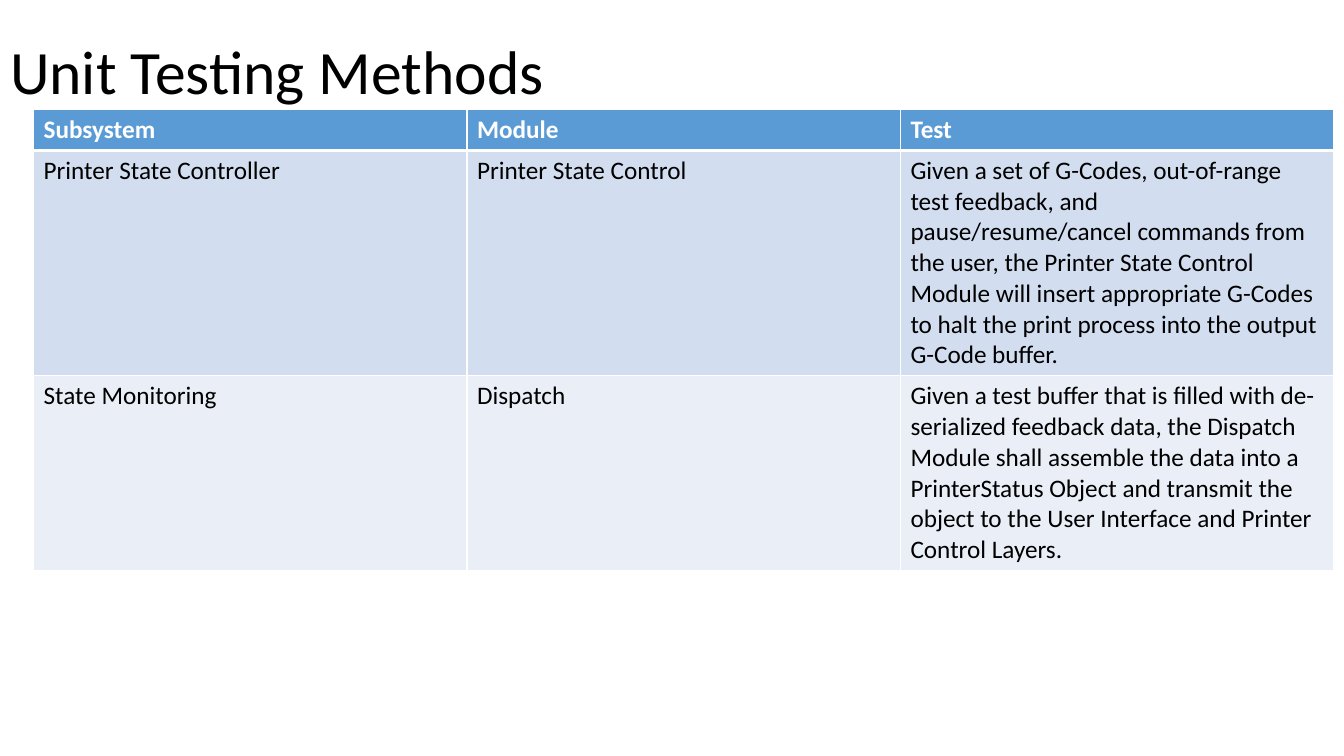
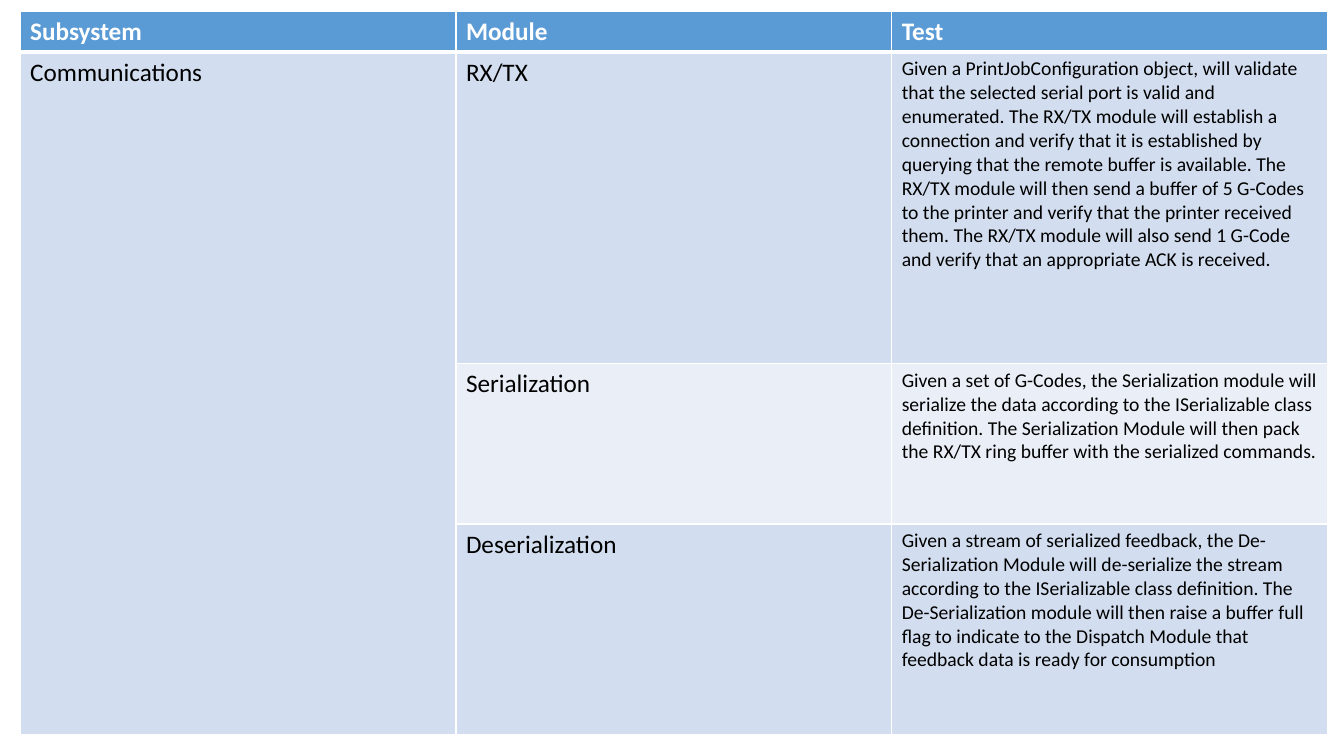
from dataclasses import dataclass

from lxml import etree
from pptx import Presentation, util as u
from pptx.dml.color import RGBColor
from pptx.enum import text
from pptx.oxml import ns

# The slide is a grid of 80 columns by 45 rows of square units.
GRID_COLUMNS, GRID_ROWS = 80, 45
SLIDE_WIDTH, SLIDE_HEIGHT = u.Inches(13.33), u.Inches(7.5)
TITLE_LAYOUT, BLANK_LAYOUT = 5, 6
FONT = "Calibri"
COLOURS = {
    "header": "5B9BD5",
    "odd": "D2DEEF",
    "even": "EAEFF7",
    "rule": "FFFFFF",
    "header text": "FFFFFF",
    "text": "000000",
}
HEADINGS = ("Subsystem", "Module", "Test")
TITLE_SIZE, TABLE_SIZE = 44, 18
THIN_RULE, HEADER_RULE = 1, 3


@dataclass(frozen=True)
class UnitTest:
    """One table row; an empty subsystem continues the one above."""
    subsystem: str
    module: str
    test: str
    height: float


@dataclass(frozen=True)
class TestTable:
    """A table of unit tests, placed in grid units."""
    left: float
    top: float
    column_width: float
    header_height: float
    test_size: int
    tests: tuple[UnitTest, ...]
    title: str = ""


TABLES = (
    TestTable(
        left=2, top=6.5, column_width=25.8, header_height=2.45, test_size=18,
        title="Unit Testing Methods",
        tests=(
            UnitTest(
                "Printer State Controller", "Printer State Control",
                "Given a set of G-Codes, out-of-range test feedback, and "
                "pause/resume/cancel commands from the user, the Printer State "
                "Control Module will insert appropriate G-Codes to halt the "
                "print process into the output G-Code buffer. ", 13.25),
            UnitTest(
                "State Monitoring", "Dispatch",
                "Given a test buffer that is filled with de-serialized feedback "
                "data, the Dispatch Module shall assemble the data into a "
                "PrinterStatus Object and transmit the object to the User "
                "Interface and Printer Control Layers.", 11.45),
        )),
    TestTable(
        left=1.2, top=0.68, column_width=25.94, header_height=2.4, test_size=14,
        tests=(
            UnitTest(
                "Communications", "RX/TX",
                "Given a PrintJobConfiguration object, will validate that the "
                "selected serial port is valid and enumerated. The RX/TX module "
                "will establish a connection and verify that it is established "
                "by querying that the remote buffer is available. The RX/TX "
                "module will then send a buffer of 5 G-Codes to the printer and "
                "verify that the printer received them. The RX/TX module will "
                "also send 1 G-Code and verify that an appropriate ACK is "
                "received.", 18.54),
            UnitTest(
                "", "Serialization",
                "Given a set of G-Codes, the Serialization module will serialize "
                "the data according to the ISerializable class definition. The "
                "Serialization Module will then pack the RX/TX ring buffer with "
                "the serialized commands.", 9.54),
            UnitTest(
                "", "Deserialization",
                "Given a stream of serialized feedback, the De-Serialization "
                "Module will de-serialize the stream according to the "
                "ISerializable class definition. The De-Serialization module "
                "will then raise a buffer full flag to indicate to the Dispatch "
                "Module that feedback data is ready for consumption", 12.54),
        )),
)


def across(columns: float) -> int:
    """Turn grid columns into a length."""
    return round(SLIDE_WIDTH * columns / GRID_COLUMNS)


def down(rows: float) -> int:
    """Turn grid rows into a length."""
    return round(SLIDE_HEIGHT * rows / GRID_ROWS)


def style_paragraph(paragraph, size: int, colour: str, bold: bool = False) -> None:
    """Give a paragraph the deck's font."""
    font = paragraph.font
    font.name, font.size, font.bold = FONT, u.Pt(size), bold
    font.color.rgb = RGBColor.from_string(COLOURS[colour])


def add_title(slide, wording: str) -> None:
    """Fill and place the title placeholder."""
    title = slide.shapes.title
    title.left, title.top = across(0), down(0.06)
    title.width, title.height = across(69), down(8.7)
    frame = title.text_frame
    frame.text = wording
    frame.auto_size = text.MSO_AUTO_SIZE.NONE
    frame.vertical_anchor = text.MSO_ANCHOR.MIDDLE
    paragraph = frame.paragraphs[0]
    paragraph.alignment = text.PP_ALIGN.LEFT
    paragraph.line_spacing = 0.9
    style_paragraph(paragraph, TITLE_SIZE, "text")


def add_borders(cell, top: float, bottom: float) -> None:
    """Rule the four sides of a cell; call before filling it."""
    properties = cell._tc.get_or_add_tcPr()
    sides = {"lnL": THIN_RULE, "lnR": THIN_RULE, "lnT": top, "lnB": bottom}
    for side, width in sides.items():
        line = etree.SubElement(properties, ns.qn(f"a:{side}"), w=str(u.Pt(width)))
        fill = etree.SubElement(line, ns.qn("a:solidFill"))
        etree.SubElement(fill, ns.qn("a:srgbClr"), val=COLOURS["rule"])


def style_cell(cell, row: int, size: int) -> None:
    """Give a cell the rules, fill and font of its row."""
    is_header = row == 0
    band = "header" if is_header else "odd" if row % 2 else "even"
    add_borders(cell,
                top=HEADER_RULE if row == 1 else THIN_RULE,
                bottom=HEADER_RULE if is_header else THIN_RULE)
    cell.fill.solid()
    cell.fill.fore_color.rgb = RGBColor.from_string(COLOURS[band])
    style_paragraph(cell.text_frame.paragraphs[0], size,
                    "header text" if is_header else "text", is_header)


def add_test_table(slide, layout: TestTable) -> None:
    """Draw a table of unit tests with its heading row."""
    heights = [layout.header_height, *(test.height for test in layout.tests)]
    table = slide.shapes.add_table(
        len(heights), len(HEADINGS), across(layout.left), down(layout.top),
        across(layout.column_width * len(HEADINGS)), down(sum(heights))).table
    for column in table.columns:
        column.width = across(layout.column_width)

    contents = [HEADINGS, *((test.subsystem, test.module, test.test)
                            for test in layout.tests)]
    for row, (height, wordings) in enumerate(zip(heights, contents)):
        table.rows[row].height = down(height)
        for column, wording in enumerate(wordings):
            cell = table.cell(row, column)
            cell.text = wording
            is_test = row > 0 and HEADINGS[column] == "Test"
            style_cell(cell, row, layout.test_size if is_test else TABLE_SIZE)
    merge_subsystems(table, layout.tests)


def merge_subsystems(table, tests: tuple[UnitTest, ...]) -> None:
    """Merge each subsystem cell with the empty ones below it."""
    starts = [row for row, test in enumerate(tests, 1) if test.subsystem]
    for start, following in zip(starts, [*starts[1:], len(tests) + 1]):
        if following - start > 1:
            table.cell(start, 0).merge(table.cell(following - 1, 0))


def main() -> None:
    """Build the presentation."""
    presentation = Presentation()
    presentation.slide_width, presentation.slide_height = SLIDE_WIDTH, SLIDE_HEIGHT
    for layout in TABLES:
        number = TITLE_LAYOUT if layout.title else BLANK_LAYOUT
        slide = presentation.slides.add_slide(presentation.slide_layouts[number])
        if layout.title:
            add_title(slide, layout.title)
        add_test_table(slide, layout)
    presentation.save("out.pptx")


main()
